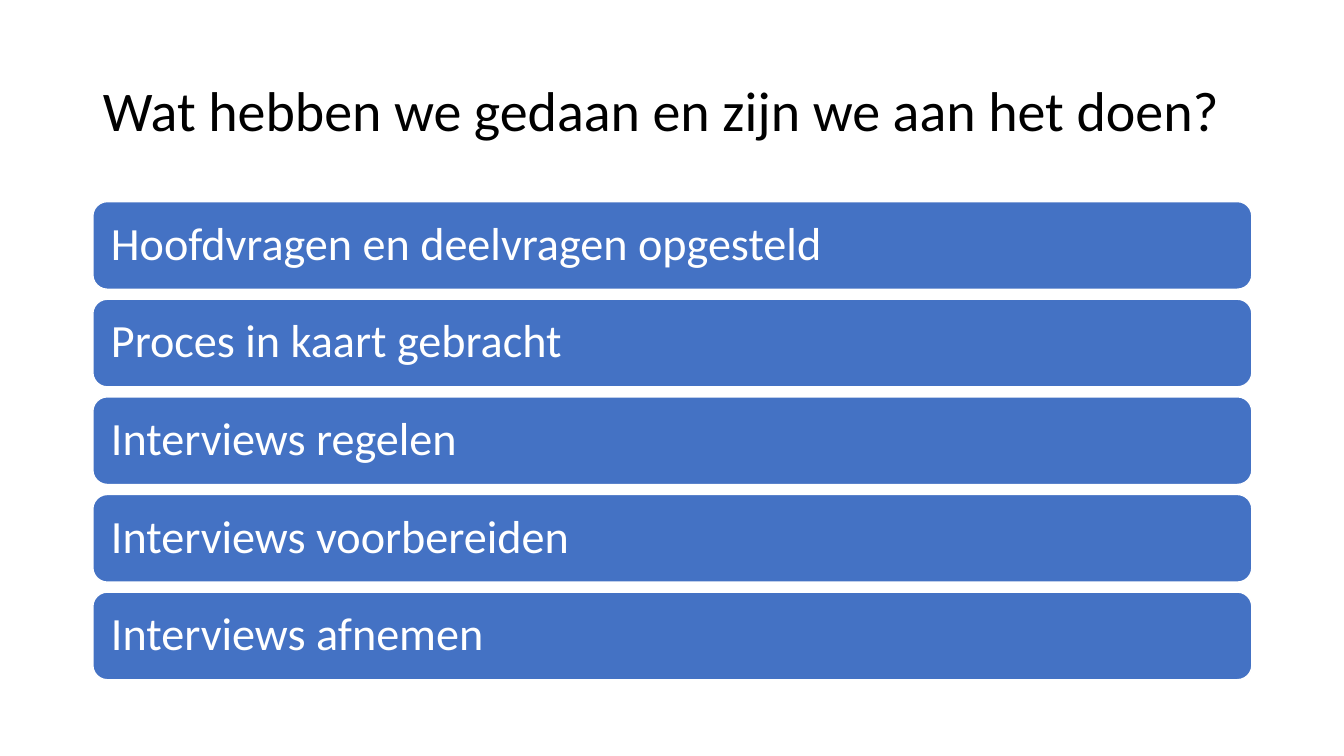
from pptx import Presentation
from pptx.dml.color import RGBColor
from pptx.enum.shapes import MSO_SHAPE
from pptx.enum.text import MSO_ANCHOR, MSO_AUTO_SIZE, PP_ALIGN
from pptx.util import Cm, Pt

BLACK = RGBColor(0x00, 0x00, 0x00)
WHITE = RGBColor(0xFF, 0xFF, 0xFF)
BLUE = RGBColor(0x44, 0x72, 0xC4)

LEFT, WIDTH = 2.34, 29.21
BAR_TOP, BAR_HEIGHT, BAR_PITCH = 5.08, 2.21, 2.46

STEPS = [
    "Hoofdvragen en deelvragen opgesteld",
    "Proces in kaart gebracht",
    "Interviews regelen",
    "Interviews voorbereiden",
    "Interviews afnemen",
]


class SlideBuilder:
    font = "Calibri"

    def __init__(self, prs):
        self.s = prs.slides.add_slide(prs.slide_layouts[5])

    def set_text(self, tf, text, size, color):
        tf.text = text
        tf.word_wrap = True
        tf.auto_size = MSO_AUTO_SIZE.NONE
        tf.vertical_anchor = MSO_ANCHOR.MIDDLE
        p = tf.paragraphs[0]
        p.alignment = PP_ALIGN.LEFT
        p.line_spacing = 0.9
        r = p.runs[0]
        r.font.name = self.font
        r.font.size = Pt(size)
        r.font.color.rgb = color

    def title(self, text, top, height):
        sp = self.s.shapes.title
        sp.left, sp.top = Cm(LEFT), Cm(top)
        sp.width, sp.height = Cm(WIDTH), Cm(height)
        self.set_text(sp.text_frame, text, 40, BLACK)

    def bar(self, text, top):
        sp = self.s.shapes.add_shape(
            MSO_SHAPE.ROUNDED_RECTANGLE,
            Cm(LEFT), Cm(top), Cm(WIDTH), Cm(BAR_HEIGHT))
        sp.shadow.inherit = False
        sp.fill.solid()
        sp.fill.fore_color.rgb = BLUE
        sp.line.color.rgb = WHITE
        sp.line.width = Pt(1)
        tf = sp.text_frame
        tf.margin_left = tf.margin_right = Cm(0.35)
        tf.margin_top = tf.margin_bottom = Cm(0.35)
        self.set_text(tf, text, 33, WHITE)


def main():
    prs = Presentation()
    prs.slide_width, prs.slide_height = Cm(33.87), Cm(19.05)
    slide = SlideBuilder(prs)
    slide.title("Wat hebben we gedaan en zijn we aan het doen?", 1.02, 3.68)
    for i, step in enumerate(STEPS):
        slide.bar(step, BAR_TOP + i * BAR_PITCH)
    prs.save("out.pptx")


if __name__ == "__main__":
    main()
